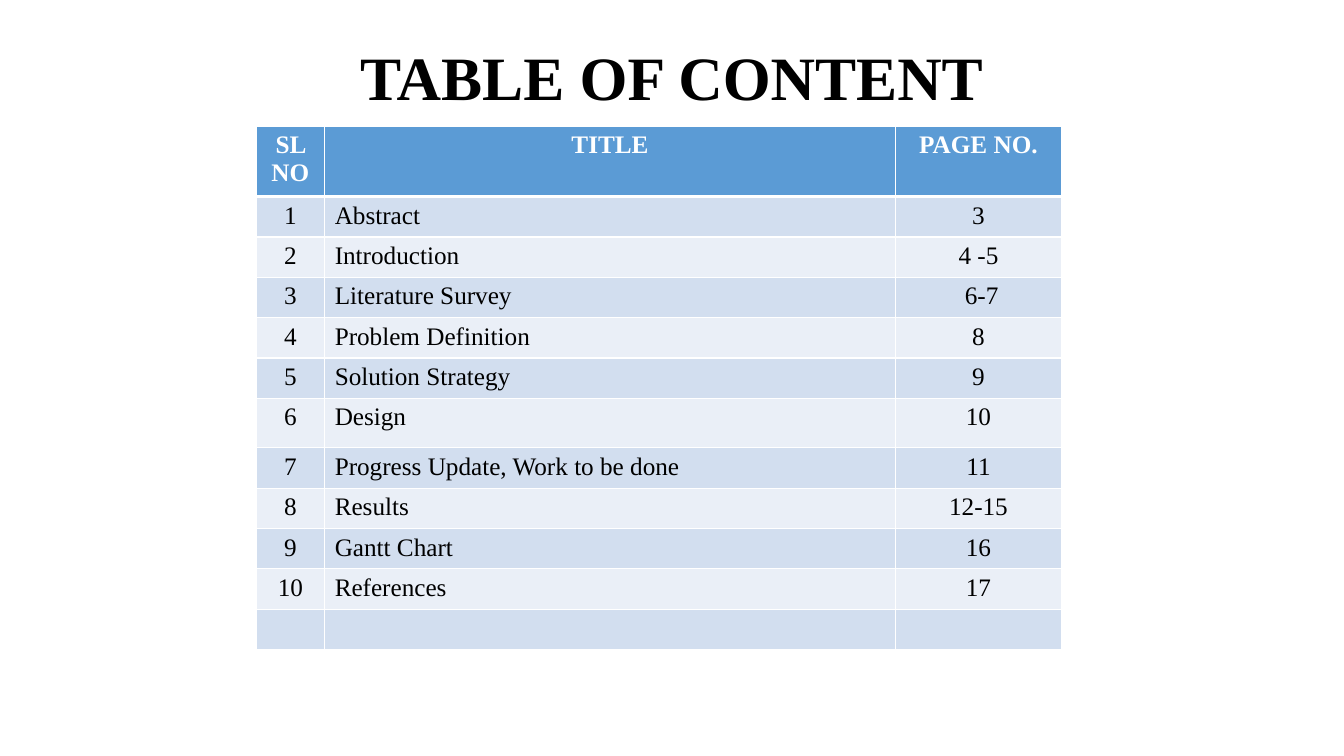
from pptx import Presentation
from pptx.dml.color import RGBColor as RGB
from pptx.enum.text import MSO_ANCHOR as ANCHOR, PP_ALIGN as ALIGN
from pptx.oxml import parse_xml
from pptx.oxml.ns import nsdecls
from pptx.util import Inches, Pt

# Content
TITLE = "TABLE OF CONTENT"
HEADER = ("SL NO", "TITLE", "PAGE NO.")
ENTRIES = [
    ("Abstract", "3"),
    ("Introduction", "4 -5"),
    ("Literature Survey", " 6-7"),
    ("Problem Definition", "8"),
    ("Solution Strategy", "9"),
    ("Design", "10"),
    ("Progress Update, Work to be done", "11"),
    ("Results", "12-15"),
    ("Gantt Chart", "16"),
    ("References", "17"),
]

THEME = {
    "font": "Times New Roman",
    "title_size": Pt(44),
    "cell_size": Pt(18),
    "text": RGB.from_string("000000"),
    "header_text": RGB.from_string("FFFFFF"),
    "header_fill": RGB.from_string("5B9BD5"),
    "bands": (RGB.from_string("EAEFF7"), RGB.from_string("D2DEEF")),
    "border": "FFFFFF",
}

# Layout
COLUMN_WIDTHS = (0.68, 5.66, 1.65)
COLUMN_ALIGN = (ALIGN.CENTER, ALIGN.LEFT, ALIGN.CENTER)
HEADER_HEIGHT, ROW_HEIGHT, DESIGN_HEIGHT = 0.65, 0.37, 0.49

rows = [HEADER]
rows += [(str(n), *entry) for n, entry in enumerate(ENTRIES, 1)]
rows.append(("", "", ""))
special_heights = {"TITLE": HEADER_HEIGHT, "Design": DESIGN_HEIGHT}
heights = [special_heights.get(row[1], ROW_HEIGHT) for row in rows]


def style_paragraph(p, size, color, bold, align):
    p.alignment = align
    p.font.name = THEME["font"]
    p.font.size = size
    p.font.bold = bold
    p.font.color.rgb = color


def set_borders(cell, widths):
    """Put border lines, widths in points, ahead of the cell fill."""
    tc_pr = cell._tc.get_or_add_tcPr()
    for i, (side, width) in enumerate(widths.items()):
        tc_pr.insert(i, parse_xml(
            f'<a:ln{side} {nsdecls("a")} w="{Pt(width)}"><a:solidFill>'
            f'<a:srgbClr val="{THEME["border"]}"/></a:solidFill></a:ln{side}>'))


prs = Presentation()
prs.slide_width, prs.slide_height = Inches(13.33), Inches(7.5)
s = prs.slides.add_slide(prs.slide_layouts[6])

# Title
sp = s.shapes.add_textbox(Inches(1.18), Inches(0.27), Inches(10.97), Inches(1.05))
tf = sp.text_frame
tf.word_wrap = True
tf.vertical_anchor = ANCHOR.MIDDLE
p = tf.paragraphs[0]
p.text = TITLE
p.line_spacing = 0.9
style_paragraph(p, THEME["title_size"], THEME["text"], True, ALIGN.CENTER)

# Contents table
table = s.shapes.add_table(
    len(rows), len(HEADER), Inches(2.54), Inches(1.25),
    Inches(sum(COLUMN_WIDTHS)), Inches(sum(heights))).table
for column, width in zip(table.columns, COLUMN_WIDTHS):
    column.width = Inches(width)

for i, row in enumerate(rows):
    table.rows[i].height = Inches(heights[i])
    is_header = i == 0
    fill = THEME["header_fill"] if is_header else THEME["bands"][i % 2]
    color = THEME["header_text"] if is_header else THEME["text"]
    borders = {"L": 1, "R": 1, "T": 3 if i == 1 else 1, "B": 3 if is_header else 1}
    for j, text in enumerate(row):
        cell = table.cell(i, j)
        cell.fill.solid()
        cell.fill.fore_color.rgb = fill
        set_borders(cell, borders)
        p = cell.text_frame.paragraphs[0]
        if text:
            p.text = text
        align = ALIGN.CENTER if is_header else COLUMN_ALIGN[j]
        style_paragraph(p, THEME["cell_size"], color, is_header, align)

prs.save("out.pptx")
